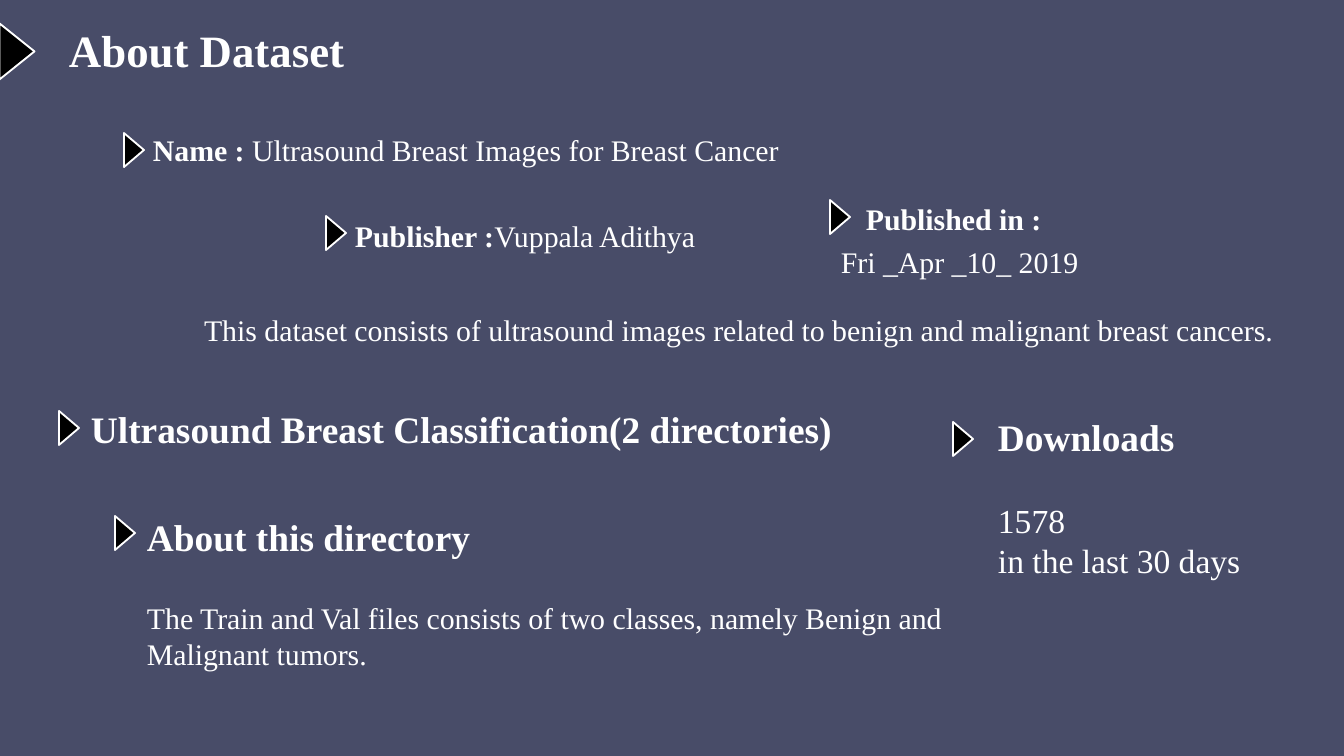
from pptx import Presentation
from pptx.dml.color import RGBColor
from pptx.enum.shapes import MSO_SHAPE as Shape
from pptx.enum.text import MSO_ANCHOR as Anchor
from pptx.util import Emu, Pt

SCALE = 914400 / 134.4
FONT = "Times New Roman"
WHITE = "FFFFFF"


def px(n):
    """Turn pixels into EMU."""
    return Emu(round(n * SCALE))


def paint(fmt, color):
    """Give a fill a solid colour."""
    fmt.solid()
    fmt.fore_color.rgb = RGBColor.from_string(color)


def text(slide, box, lines, size=16, mid=False, inset=13, space=None, gap=0, indent=0):
    """Add a text box; each line is a list of (words, bold[, size]) runs."""
    frame = slide.shapes.add_textbox(*map(px, box)).text_frame
    frame.word_wrap = True
    frame.vertical_anchor = Anchor.MIDDLE if mid else Anchor.TOP
    frame.margin_left, frame.margin_right = px(inset), px(0 if mid else 13)
    frame.margin_top = frame.margin_bottom = px(0 if mid else 7)
    for i, runs in enumerate(lines):
        para = frame.paragraphs[0] if i == 0 else frame.add_paragraph()
        if space:
            para.line_spacing = space
        if i and gap:
            para.space_before = Pt(gap)
        if indent and i == 0:
            para._p.get_or_add_pPr().set("indent", str(px(indent)))
        for words, bold, *own in runs:
            run = para.add_run()
            run.text = words
            font = run.font
            font.name, font.bold = FONT, bold
            font.size = Pt(own[0] if own else size)
            font.color.rgb = RGBColor.from_string(WHITE)


def arrow(slide, left, top, wide=34, high=20):
    """Add a triangle marker that points right."""
    mark = slide.shapes.add_shape(
        Shape.ISOSCELES_TRIANGLE, *map(px, (left, top, wide, high)))
    mark.rotation = 90
    mark.shadow.inherit = False
    paint(mark.fill, "000000")
    paint(mark.line.fill, WHITE)
    mark.line.width = Pt(1)


def main():
    """Build the dataset slide."""
    deck = Presentation()
    deck.slide_width, deck.slide_height = px(1344), px(756)
    slide = deck.slides.add_slide(deck.slide_layouts[6])
    paint(slide.background.fill, "484C68")

    text(slide, (56, 16, 306, 63), [[("About Dataset", True)]], size=24)
    text(slide, (145, 121, 777, 58),
         [[("Name : ", True), ("Ultrasound Breast Images for Breast Cancer", False)]],
         mid=True, inset=8)
    text(slide, (302, 200, 468, 65),
         [[("Publisher :", True), ("Vuppala Adithya", False)]],
         mid=True, inset=53, space=1.2)
    text(slide, (806, 179, 325, 116),
         [[("Published in :", True)], [("Fri _Apr _10_ 2019", False)]],
         mid=True, inset=35, space=1.2, indent=25)
    text(slide, (191, 305, 1134, 63),
         [[("This dataset consists of ultrasound images related to benign "
            "and malignant breast cancers.", False)]])
    text(slide, (78, 399, 792, 73),
         [[("Ultrasound Breast Classification(2 directories)", True)]], size=20)
    text(slide, (134, 507, 839, 165),
         [[("About this directory", True, 20)],
          [("The Train and Val files consists of two classes, namely "
            "Benign and Malignant tumors.", False)]], gap=22)
    text(slide, (985, 407, 245, 70), [[("Downloads", True)]], size=20)
    text(slide, (985, 493, 294, 98),
         [[("1578", False)], [("in the last 30 days", False)]], size=18)

    arrow(slide, -11, 34, 56, 35)
    for spot in ((117, 140), (319, 223), (823, 207), (52, 418), (946, 429), (108, 523)):
        arrow(slide, *spot)
    deck.save("out.pptx")


if __name__ == "__main__":
    main()
